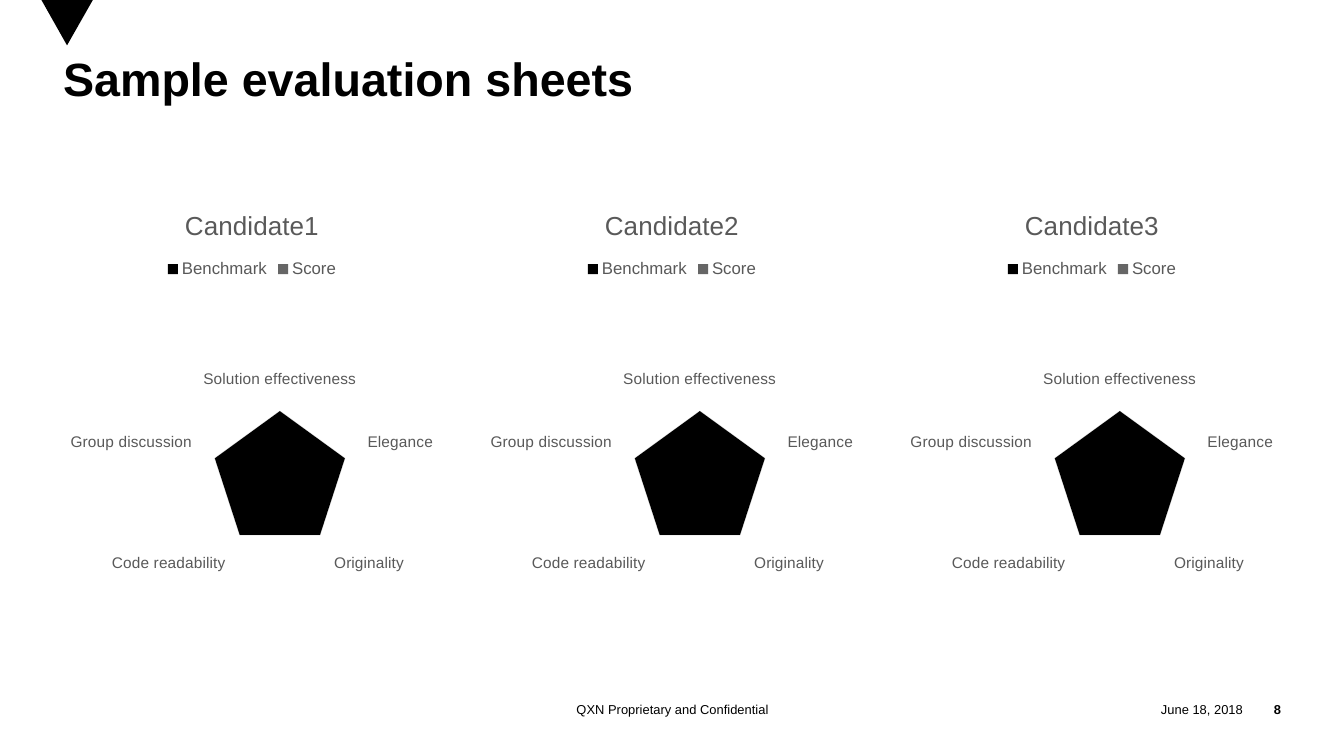
"""Build the slide of sample evaluation sheets with three radar charts."""
from pptx import Presentation
from pptx.chart.data import CategoryChartData
from pptx.dml.color import RGBColor
from pptx.enum.chart import XL_CHART_TYPE as ChartType, XL_LEGEND_POSITION as LegendSpot, XL_TICK_MARK as TickMark
from pptx.enum.text import MSO_ANCHOR as Anchor, PP_ALIGN as Align
from pptx.util import Pt

COLORS = {name: RGBColor.from_string(code) for name, code in {
    "black": "000000", "score": "666666", "label": "595959", "grid": "D9D9D9"}.items()}
CRITERIA = ["Solution effectiveness", "Elegance", "Originality", "Code readability", "Group discussion"]
SCORES = {
    "Candidate1": [100, 50, 80, 50, 60],
    "Candidate2": [100, 60, 40, 40, 90],
    "Candidate3": [100, 70, 100, 60, 50],
}
FOOTERS = [
    ("June 18, 2018", 780.5, 107.3, Align.RIGHT, False),
    ("8", 887.8, 27.2, Align.RIGHT, True),
    ("QXN Proprietary and Confidential", 315.4, 329.8, Align.CENTER, False),
]


def style_font(font, size, color, bold=False):
    font.name, font.size, font.bold = "Arial", Pt(size), bold
    font.color.rgb = COLORS[color]


def fill_frame(frame, text, size, align, bold, anchor):
    frame.margin_left = frame.margin_right = frame.margin_top = frame.margin_bottom = 0
    frame.word_wrap = True
    frame.vertical_anchor = anchor
    para = frame.paragraphs[0]
    para.alignment = align
    span = para.add_run()
    span.text = text
    style_font(span.font, size, "black", bold)
    return para


deck = Presentation()
deck.slide_width, deck.slide_height = Pt(960), Pt(540)
page = deck.slides.add_slide(deck.slide_layouts[5])

outline = page.shapes.build_freeform(Pt(29.6), 0)
outline.add_line_segments([(Pt(47.9), Pt(32.4)), (Pt(66.3), 0)], close=True)
marker = outline.convert_to_shape()
marker.shadow.inherit = False
marker.fill.solid()
marker.fill.fore_color.rgb = COLORS["black"]
marker.line.fill.background()

for text, left, width, align, bold in FOOTERS:
    box = page.shapes.add_textbox(Pt(left), Pt(497.5), Pt(width), Pt(18))
    fill_frame(box.text_frame, text, 9.2, align, bold, Anchor.MIDDLE)

heading = page.shapes.title
heading.left, heading.top, heading.width, heading.height = Pt(45), Pt(42), Pt(870), Pt(93)
para = fill_frame(heading.text_frame, "Sample evaluation sheets", 33.3, Align.LEFT, True, Anchor.TOP)
para.line_spacing = 0.85

for column, (candidate, scores) in enumerate(SCORES.items()):
    data = CategoryChartData()
    data.categories = CRITERIA
    data.add_series("Benchmark", [100] * len(CRITERIA))
    data.add_series("Score", scores)
    chart = page.shapes.add_chart(
        ChartType.RADAR_FILLED, Pt(45 + 300 * column), Pt(135), Pt(270), Pt(336), data).chart
    style_font(chart.font, 10, "black")

    chart.has_title = True
    span = chart.chart_title.text_frame.paragraphs[0].add_run()
    span.text = candidate
    style_font(span.font, 18.6, "label")
    chart.chart_title.include_in_layout = False

    chart.has_legend = True
    chart.legend.position = LegendSpot.TOP
    chart.legend.include_in_layout = False
    style_font(chart.legend.font, 12, "label")

    criteria_axis, value_axis = chart.category_axis, chart.value_axis
    style_font(criteria_axis.tick_labels.font, 11, "label")
    criteria_axis.major_tick_mark = criteria_axis.minor_tick_mark = TickMark.NONE
    criteria_axis.has_major_gridlines = value_axis.has_major_gridlines = True
    value_axis.visible = False
    for part in (criteria_axis, criteria_axis.major_gridlines, value_axis.major_gridlines):
        part.format.line.color.rgb = COLORS["grid"]
        part.format.line.width = Pt(0.75)

    for series, color in zip(chart.plots[0].series, ("black", "score")):
        series.format.fill.solid()
        series.format.fill.fore_color.rgb = COLORS[color]
        series.format.line.fill.background()

deck.save("out.pptx")
